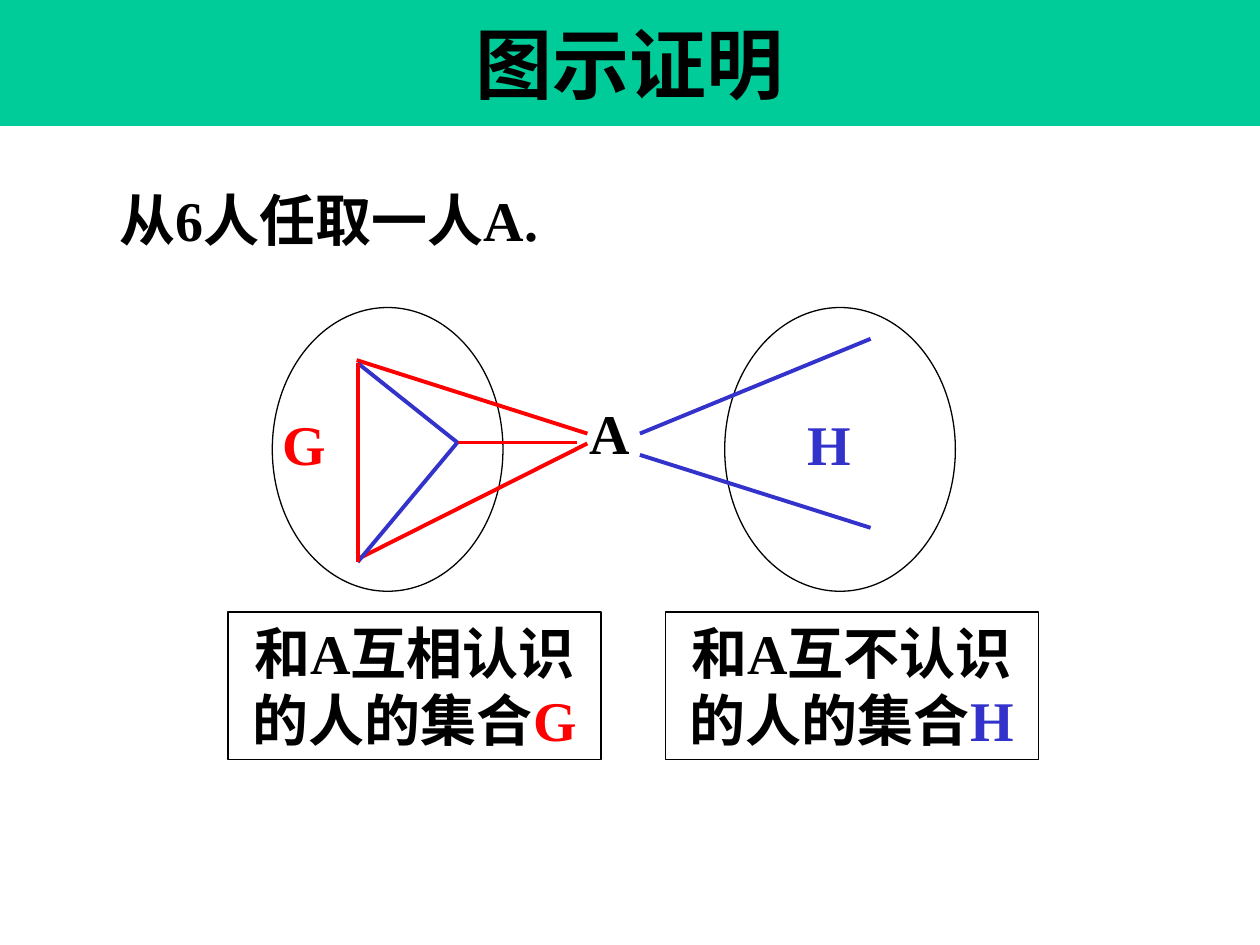
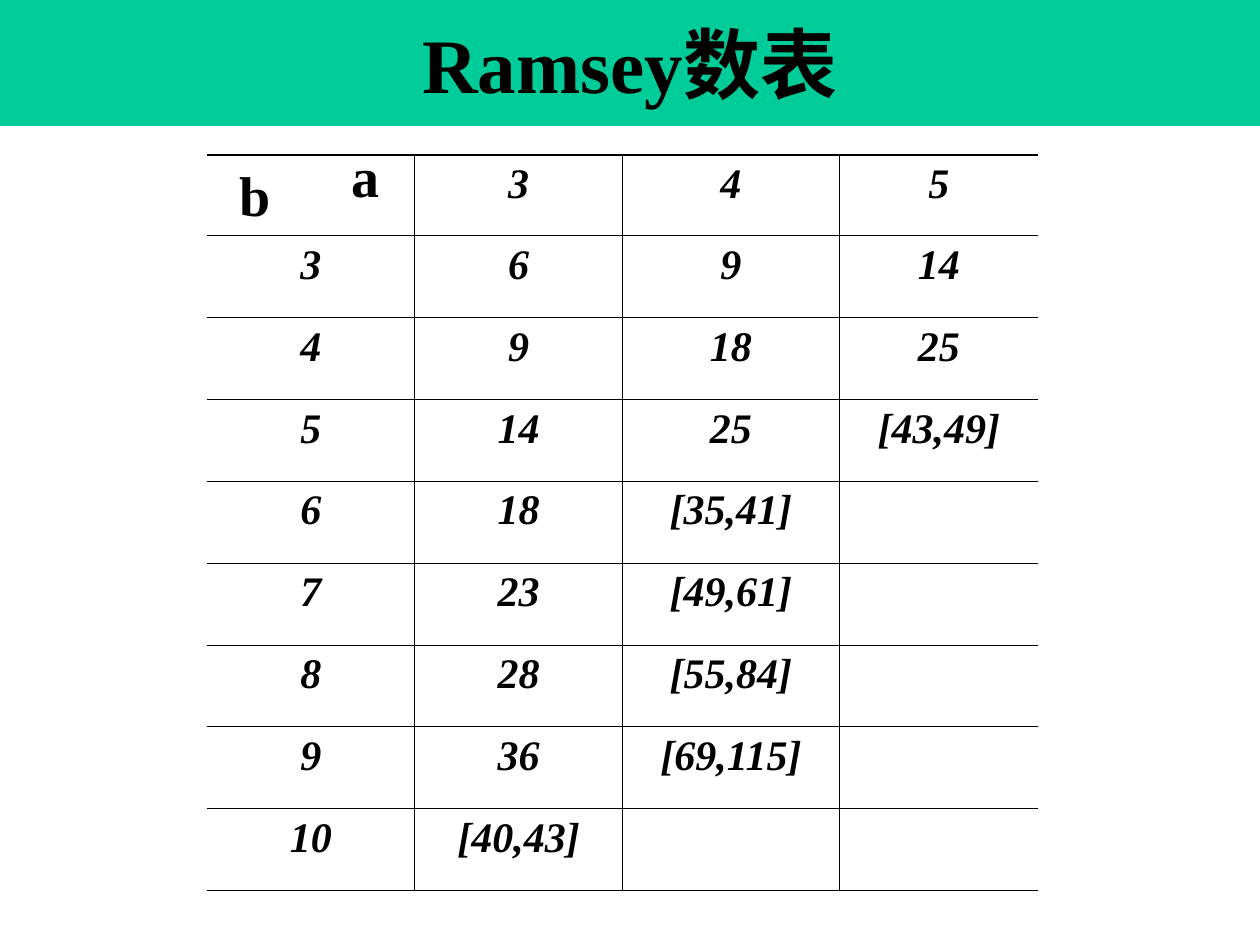
from lxml import etree
from pptx import Presentation
from pptx import util as u
from pptx.dml.color import RGBColor
from pptx.enum import shapes, text
from pptx.oxml import ns

BLACK = RGBColor(0x00, 0x00, 0x00)
GREEN = RGBColor(0x00, 0xCC, 0x99)
RED = RGBColor(0xFF, 0x00, 0x00)
BLUE = RGBColor(0x33, 0x33, 0xCC)
FONT = "Times New Roman"


def write(shape, lines, size=32, align=text.PP_ALIGN.LEFT, anchor=text.MSO_ANCHOR.TOP):
    """Fill a shape with bold lines, each a list of (words, colour) pairs."""
    frame = shape.text_frame
    frame.word_wrap = False
    frame.vertical_anchor = anchor
    paragraph = frame.paragraphs[0]
    paragraph.alignment = align
    paragraph.font.name = FONT
    paragraph.font.size = u.Pt(size)
    paragraph.font.bold = True
    for number, line in enumerate(lines):
        if number:
            paragraph.add_line_break()
        for words, colour in line:
            run = paragraph.add_run()
            run.text = words
            run.font.name = FONT
            run.font.size = u.Pt(size)
            run.font.color.rgb = colour


def add_outline(slide, kind, left, top, width, height):
    """Add an unfilled preset shape with a thin black line."""
    shape = slide.shapes.add_shape(kind, u.Cm(left), u.Cm(top), u.Cm(width), u.Cm(height))
    shape.shadow.inherit = False
    shape.fill.background()
    shape.line.color.rgb = BLACK
    shape.line.width = u.Pt(0.75)
    return shape


presentation = Presentation()
presentation.slide_width = u.Cm(25.4)
presentation.slide_height = u.Cm(19.05)

# Slides with their title bands
slides = []
for title in ("图示证明", "Ramsey数表"):
    slide = presentation.slides.add_slide(presentation.slide_layouts[6])
    band = add_outline(slide, shapes.MSO_SHAPE.RECTANGLE, 0, 0, 25.4, 2.54)
    band.fill.solid()
    band.fill.fore_color.rgb = GREEN
    band.line.fill.background()
    write(band, [[(title, BLACK)]], 44, text.PP_ALIGN.CENTER, text.MSO_ANCHOR.MIDDLE)
    slides.append(slide)
proof_slide, table_slide = slides

# The two sets: ellipse and caption
for ellipse_left, caption_left, relation, name, colour in (
    (5.49, 4.6, "和A互相认识", "G", RED),
    (14.61, 13.41, "和A互不认识", "H", BLUE),
):
    add_outline(proof_slide, shapes.MSO_SHAPE.OVAL, ellipse_left, 6.2, 4.65, 5.72)
    caption = add_outline(proof_slide, shapes.MSO_SHAPE.RECTANGLE, caption_left, 12.34, 7.52, 2.97)
    write(caption, [[(relation, BLACK)], [("的人的集合", BLACK), (name, colour)]],
          align=text.PP_ALIGN.CENTER)

# Acquaintance lines: from A to both sets, then the triangle inside G
upper, lower, right = (7.21, 7.32), (7.21, 11.33), (9.22, 8.92)
for start, end, colour in (
    ((7.19, 7.26), (11.84, 8.74), RED),
    ((7.19, 11.28), (11.84, 8.94), RED),
    ((12.9, 9.17), (17.55, 10.64), BLUE),
    ((12.9, 8.74), (17.55, 6.83), BLUE),
    (right, (11.63, 8.92), RED),
    (lower, right, BLUE),
    (upper, lower, BLUE),
    (right, upper, BLUE),
    (upper, lower, RED),
):
    line = proof_slide.shapes.add_connector(
        shapes.MSO_CONNECTOR.STRAIGHT, *(u.Cm(value) for value in start + end))
    line.line.color.rgb = colour
    line.line.width = u.Pt(2.25)
    etree.SubElement(line._element.spPr, ns.qn("a:effectLst"))

# Ramsey number table
ROWS = (
    ("", "3", "4", "5"),
    ("3", "6", "9", "14"),
    ("4", "9", "18", "25"),
    ("5", "14", "25", "[43,49]"),
    ("6", "18", "[35,41]", ""),
    ("7", "23", "[49,61]", ""),
    ("8", "28", "[55,84]", ""),
    ("9", "36", "[69,115]", ""),
    ("10", "[40,43]", "", ""),
)
COLUMN_WIDTHS = (4.19, 4.19, 4.37, 4.01)
THIN, THICK = 0.45, 1.08
last_row, last_column = len(ROWS) - 1, len(COLUMN_WIDTHS) - 1
table = table_slide.shapes.add_table(
    len(ROWS), len(COLUMN_WIDTHS), u.Cm(4.17), u.Cm(3.12),
    u.Cm(sum(COLUMN_WIDTHS)), u.Cm(14.83)).table
table.first_row = False
table.horz_banding = False
for column, width in zip(table.columns, COLUMN_WIDTHS):
    column.width = u.Cm(width)

for row_number, values in enumerate(ROWS):
    table.rows[row_number].height = u.Cm(1.65 if row_number else 1.63)
    for column_number, value in enumerate(values):
        cell = table.cell(row_number, column_number)
        paragraph = cell.text_frame.paragraphs[0]
        paragraph.alignment = text.PP_ALIGN.CENTER
        paragraph.space_before = u.Pt(6 if row_number else 0)
        if value:
            paragraph.text = value
            paragraph.font.name = FONT
            paragraph.font.size = u.Pt(24)
            paragraph.font.bold = True
            paragraph.font.italic = True
            paragraph.font.color.rgb = BLACK

        # Borders: thick top and bottom edges, open sides
        properties = cell._tc.get_or_add_tcPr()
        for side, width in (
            ("L", THIN if column_number else 0),
            ("R", THIN if column_number < last_column else 0),
            ("T", THIN if row_number else THICK),
            ("B", THIN if row_number < last_row else THICK),
        ):
            border = etree.SubElement(properties, ns.qn(f"a:ln{side}"), w=str(u.Pt(width)))
            if width:
                fill = etree.SubElement(border, ns.qn("a:solidFill"))
                etree.SubElement(fill, ns.qn("a:srgbClr"), val=str(BLACK))
            else:
                etree.SubElement(border, ns.qn("a:noFill"))
        cell.fill.background()

# Free labels on both slides
for slide, words, colour, left, top, width in (
    (proof_slide, "从6人任取一人A.", BLACK, 2.16, 3.61, 9.75),
    (proof_slide, "A", BLACK, 11.63, 7.9, 1.32),
    (proof_slide, "G", RED, 5.44, 8.13, 1.37),
    (proof_slide, "H", BLUE, 16.03, 8.13, 1.37),
    (table_slide, "a", BLACK, 6.83, 2.72, 1.07),
    (table_slide, "b", BLACK, 4.57, 3.12, 1.14),
):
    label = slide.shapes.add_textbox(u.Cm(left), u.Cm(top), u.Cm(width), u.Cm(1.63))
    write(label, [[(words, colour)]])

presentation.save("out.pptx")
